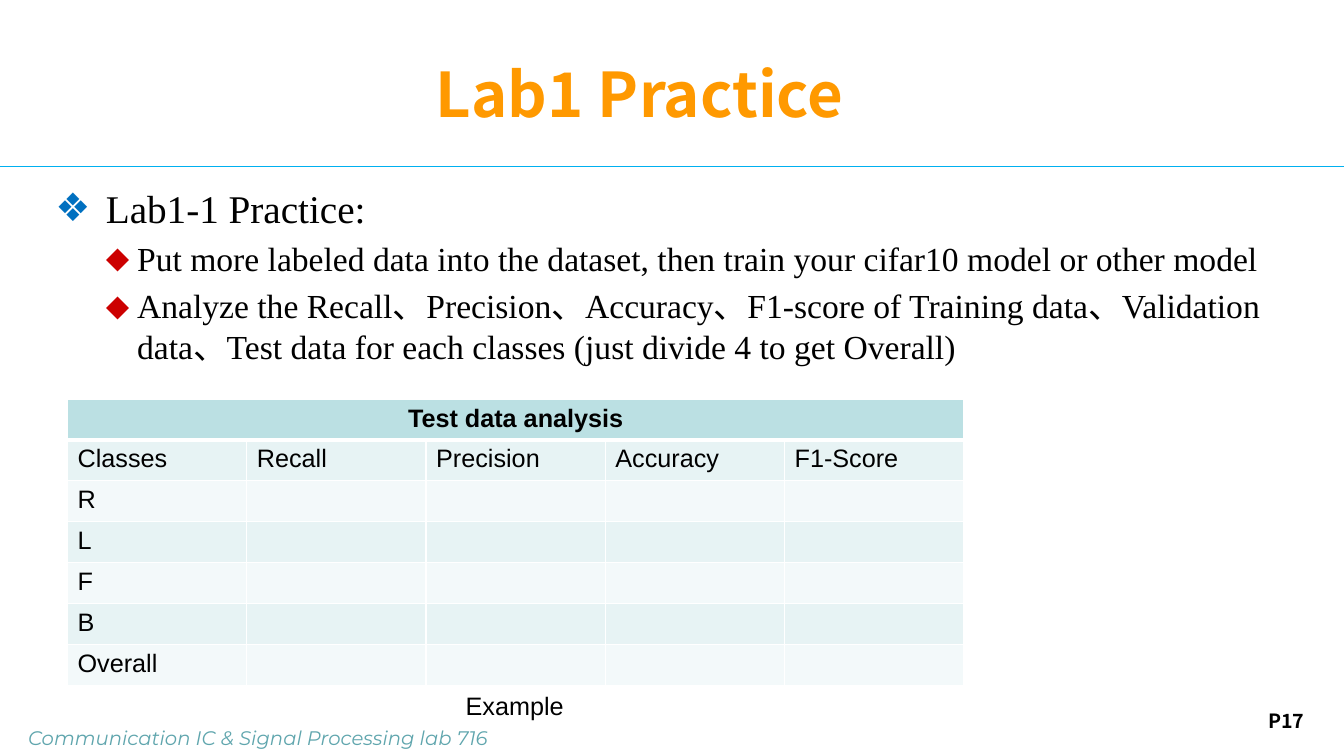
from lxml import etree
from pptx import Presentation
from pptx.dml.color import RGBColor
from pptx.enum.shapes import MSO_CONNECTOR
from pptx.enum.text import MSO_ANCHOR, MSO_AUTO_SIZE, PP_ALIGN
from pptx.oxml.ns import qn
from pptx.util import Inches, Pt

STRAIGHT = MSO_CONNECTOR.STRAIGHT
MIDDLE = MSO_ANCHOR.MIDDLE
CENTER = PP_ALIGN.CENTER
NO_FIT = MSO_AUTO_SIZE.NONE

BLACK = RGBColor(0x00, 0x00, 0x00)
WHITE = RGBColor(0xFF, 0xFF, 0xFF)
ORANGE = RGBColor(0xFF, 0x99, 0x00)
RULE_BLUE = RGBColor(0x00, 0xB0, 0xF0)
BULLET_BLUE = RGBColor(0x00, 0x70, 0xC0)
BULLET_RED = RGBColor(0xCC, 0x00, 0x00)
FOOTER_TEAL = RGBColor(0x45, 0x97, 0xA0)
HEADER_FILL = RGBColor(0xBB, 0xE0, 0xE3)
BAND_FILLS = (RGBColor(0xF3, 0xF9, 0xFA), RGBColor(0xE7, 0xF3, 0xF4))

SANS = "Noto Sans CJK SC"
SERIF = "Times New Roman"
TABLE_FONT = "Arial"
FOOTER_FONT = "Montserrat"

SLIDE_WIDTH, SLIDE_HEIGHT = 13.33, 7.5

# Per level: bullet, bullet colour, left margin, hanging indent, text size
LEVELS = (
    ("❖", BULLET_BLUE, 0.5, 0.5, 28),
    ("⬥", BULLET_RED, 0.81, 0.31, 24),
)
PRACTICE_STEPS = (
    (0, "Lab1-1 Practice:"),
    (1, "Put more labeled data into the dataset, then train your cifar10 "
        "model or other model"),
    (1, "Analyze the Recall、Precision、Accuracy、F1-score of Training data、"
        "Validation data、Test data for each classes "
        "(just divide 4 to get Overall)"),
)
METRICS = ("Classes", "Recall", "Precision", "Accuracy", "F1-Score")
CLASSES = ("R", "L", "F", "B", "Overall")


def place(shape, left, top, width, height):
    shape.left, shape.top = Inches(left), Inches(top)
    shape.width, shape.height = Inches(width), Inches(height)


def add_run(paragraph, text, size, font, color, bold=False, italic=False):
    run = paragraph.add_run()
    run.text = text
    run.font.size = Pt(size)
    run.font.name = font
    run.font.bold = bold
    run.font.italic = italic
    run.font.color.rgb = color
    return run


def add_label(slide, left, top, width, height, wrap=True):
    """Add a text box and return its first paragraph."""
    label = slide.shapes.add_textbox(
        Inches(left), Inches(top), Inches(width), Inches(height))
    label.text_frame.word_wrap = wrap
    return label.text_frame.paragraphs[0]


def add_title(slide, left, top, width, height):
    title = slide.shapes.title
    place(title, left, top, width, height)
    title.text_frame.vertical_anchor = MIDDLE
    paragraph = title.text_frame.paragraphs[0]
    paragraph.alignment = CENTER
    add_run(paragraph, "Lab1 Practice", 44, SANS, ORANGE, bold=True)


def add_title_rule(slide, left, top, width):
    rule = slide.shapes.add_connector(
        STRAIGHT, Inches(left), Inches(top), Inches(left + width), Inches(top))
    rule.line.color.rgb = RULE_BLUE
    rule.line.width = Pt(0.75)
    etree.SubElement(rule._element.spPr, qn("a:effectLst"))


def set_bullet(paragraph, bullet, color, margin, hanging):
    properties = paragraph._p.get_or_add_pPr()
    properties.set("marL", str(Inches(margin)))
    properties.set("indent", str(-Inches(hanging)))
    bullet_color = etree.SubElement(properties, qn("a:buClr"))
    etree.SubElement(bullet_color, qn("a:srgbClr"), val=str(color))
    etree.SubElement(properties, qn("a:buChar"), char=bullet)


def add_practice_steps(slide, left, top, width, height):
    body = slide.placeholders[1]
    place(body, left, top, width, height)
    frame = body.text_frame
    frame.auto_size = NO_FIT
    for number, (level, step) in enumerate(PRACTICE_STEPS):
        paragraph = frame.add_paragraph() if number else frame.paragraphs[0]
        bullet, color, margin, hanging, size = LEVELS[level]
        paragraph.level = level
        paragraph.space_before = Pt(size * 0.2)
        set_bullet(paragraph, bullet, color, margin, hanging)
        add_run(paragraph, step, size, SERIF, BLACK)


def style_cell(cell, fill, bottom_width=1):
    """Fill a cell and give it white borders."""
    properties = cell._tc.get_or_add_tcPr()
    for side, width in (("L", 1), ("R", 1), ("T", 1), ("B", bottom_width)):
        border = etree.SubElement(
            properties, qn(f"a:ln{side}"), w=str(Pt(width)))
        border_fill = etree.SubElement(border, qn("a:solidFill"))
        etree.SubElement(border_fill, qn("a:srgbClr"), val=str(WHITE))
    cell.fill.solid()
    cell.fill.fore_color.rgb = fill


def add_analysis_table(slide, left, top, width, height):
    rows = [("Test data analysis",), METRICS] + [(name,) for name in CLASSES]
    table = slide.shapes.add_table(
        len(rows), len(METRICS), Inches(left), Inches(top),
        Inches(width), Inches(height)).table
    for row_index, texts in enumerate(rows):
        is_header = row_index == 0
        for column in range(len(METRICS)):
            cell = table.cell(row_index, column)
            if is_header:
                style_cell(cell, HEADER_FILL, bottom_width=3)
            else:
                style_cell(cell, BAND_FILLS[row_index % 2])
            paragraph = cell.text_frame.paragraphs[0]
            if column < len(texts):
                add_run(paragraph, texts[column], 18, TABLE_FONT, BLACK,
                        bold=is_header)
    table.cell(0, 0).merge(table.cell(0, len(METRICS) - 1))
    table.cell(0, 0).text_frame.paragraphs[0].alignment = CENTER


def add_table_caption(slide, left, top, width, height):
    caption = add_label(slide, left, top, width, height, wrap=False)
    add_run(caption, "Example", 18, TABLE_FONT, BLACK)


def add_footer(slide, left, top, width, height):
    lab_name = add_label(slide, left, top, width, height)
    run = add_run(lab_name, "Communication IC & Signal Processing lab 716",
                  14, FOOTER_FONT, FOOTER_TEAL, italic=True)
    color = run._r.find(".//" + qn("a:srgbClr"))
    etree.SubElement(color, qn("a:alpha"), val="85000")


def add_page_number(slide, left, top, width, height):
    page_number = add_label(slide, left, top, width, height)
    page_number.alignment = CENTER
    add_run(page_number, "P17", 14, SANS, BLACK, bold=True)


def main():
    presentation = Presentation()
    presentation.slide_width = Inches(SLIDE_WIDTH)
    presentation.slide_height = Inches(SLIDE_HEIGHT)
    slide = presentation.slides.add_slide(presentation.slide_layouts[1])
    add_title_rule(slide, 0, 1.65, SLIDE_WIDTH)
    add_page_number(slide, 12.18, 6.98, 1.16, 0.52)
    add_footer(slide, 0.18, 7.15, 11, 0.34)
    add_title(slide, 0.67, 0.3, 11.35, 1.25)
    add_practice_steps(slide, 0.45, 1.78, 12.7, 4.92)
    add_analysis_table(slide, 0.67, 3.96, 8.89, 2.84)
    add_table_caption(slide, 4.52, 6.8, 1.18, 0.4)
    presentation.save("out.pptx")


if __name__ == "__main__":
    main()
